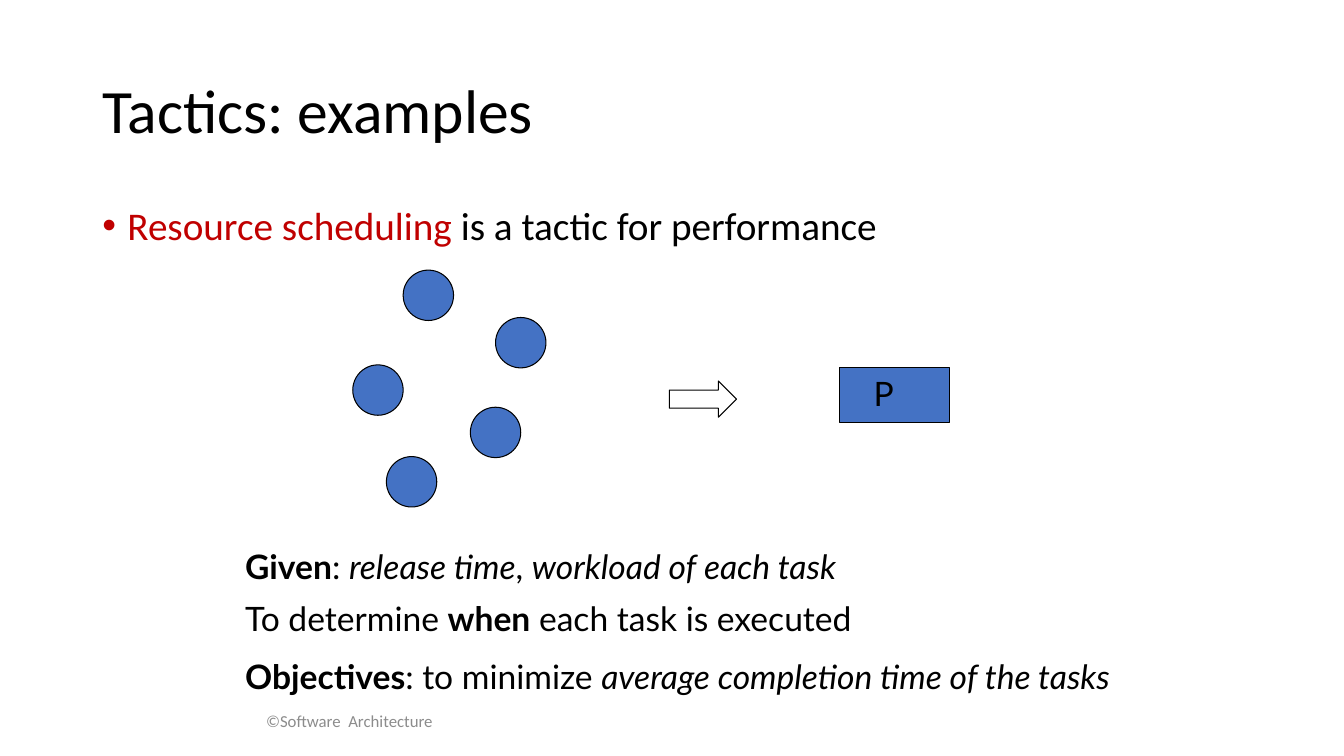
"""Build a slide on resource scheduling as a performance tactic."""

from dataclasses import dataclass

import lxml.etree
import pptx
import pptx.dml.color
import pptx.enum.shapes
import pptx.enum.text
import pptx.oxml.ns
import pptx.shapes.autoshape
import pptx.slide
import pptx.util

RGBColor = pptx.dml.color.RGBColor
Shape = pptx.shapes.autoshape.Shape
Preset = pptx.enum.shapes.MSO_SHAPE
Anchor = pptx.enum.text.MSO_ANCHOR
Align = pptx.enum.text.PP_ALIGN

BLACK = RGBColor(0x00, 0x00, 0x00)
BLUE = RGBColor(0x44, 0x72, 0xC4)
RED = RGBColor(0xC0, 0x00, 0x00)
GRAY = RGBColor(0x8C, 0x8C, 0x8C)

COLUMNS, ROWS = 80, 45
CELL = pptx.util.Inches(1) / 6
TASK_SIZE = 3


@dataclass(frozen=True)
class Box:
    """Place on the grid, in columns and rows."""

    column: float
    row: float
    columns: float
    rows: float

    def lengths(self) -> tuple[int, ...]:
        """Return left, top, width and height."""
        return tuple(
            round(cells * CELL)
            for cells in (self.column, self.row, self.columns, self.rows)
        )


@dataclass(frozen=True)
class Run:
    """Piece of text with its emphasis."""

    text: str
    bold: bool = False
    italic: bool = False
    color: RGBColor = BLACK


@dataclass(frozen=True)
class Statement:
    """Line of the scheduling problem and its place."""

    box: Box
    runs: tuple[Run, ...]


TASKS = ((24, 16.08), (21, 21.72), (23, 27.18), (29.5, 18.9), (28, 24.24))
TITLE_BOX = Box(5.5, 2.4, 69, 8.7)
BODY_BOX = Box(5.5, 12, 69, 28.56)
FOOTER_BOX = Box(0, 41.7, 41.6, 2.4)
PROCESSOR_BOX = Box(50, 21.9, 6.5, 3.25)
ARROW_BOX = Box(39.84, 22.68, 4, 2.16)

STATEMENTS = (
    Statement(
        Box(14, 32.22, 55.2, 3),
        (
            Run("Given", bold=True),
            Run(": "),
            Run("release time", italic=True),
            Run(", "),
            Run("workload of each task", italic=True),
        ),
    ),
    Statement(
        Box(14, 35.28, 55.2, 3.06),
        (
            Run("To determine "),
            Run("when", bold=True),
            Run(" each task is executed"),
        ),
    ),
    Statement(
        Box(14, 38.76, 53, 5.46),
        (
            Run("Objectives", bold=True),
            Run(": to minimize "),
            Run("average completion time of the tasks", italic=True),
        ),
    ),
)


def write_text(
    shape: Shape,
    *runs: Run,
    size: float = 24,
    font: str = "Lato",
    align: Align = Align.LEFT,
    anchor: Anchor = Anchor.TOP,
    line_spacing: float = 1.0,
    bullet: RGBColor | None = None,
) -> None:
    """Write one formatted paragraph into a shape."""
    frame = shape.text_frame
    frame.word_wrap = True
    frame.auto_size = pptx.enum.text.MSO_AUTO_SIZE.NONE
    frame.vertical_anchor = anchor
    paragraph = frame.paragraphs[0]
    paragraph.alignment = align
    paragraph.line_spacing = line_spacing
    if bullet is not None:
        add_bullet(paragraph, bullet)
    for piece in runs:
        run = paragraph.add_run()
        run.text = piece.text
        run.font.name = font
        run.font.size = pptx.util.Pt(size)
        run.font.bold = piece.bold
        run.font.italic = piece.italic
        run.font.color.rgb = piece.color


def add_bullet(paragraph: pptx.text.text._Paragraph, color: RGBColor) -> None:
    """Give a paragraph a hanging round bullet."""
    qualified = pptx.oxml.ns.qn
    properties = paragraph._p.get_or_add_pPr()
    indent = pptx.util.Inches(0.25)
    properties.set("marL", str(indent))
    properties.set("indent", str(-indent))
    bullet_color = lxml.etree.SubElement(properties, qualified("a:buClr"))
    lxml.etree.SubElement(bullet_color, qualified("a:srgbClr"), val=str(color))
    lxml.etree.SubElement(properties, qualified("a:buFont"), typeface="Arial")
    lxml.etree.SubElement(properties, qualified("a:buChar"), char="•")


def add_text(slide: pptx.slide.Slide, box: Box) -> Shape:
    """Add an empty text box on the grid."""
    return slide.shapes.add_textbox(*box.lengths())


def add_outlined(
    slide: pptx.slide.Slide, preset: Preset, box: Box, fill: RGBColor | None = BLUE
) -> Shape:
    """Add a preset shape with a thin black outline."""
    shape = slide.shapes.add_shape(preset, *box.lengths())
    shape.shadow.inherit = False
    if fill is None:
        shape.fill.background()
    else:
        shape.fill.solid()
        shape.fill.fore_color.rgb = fill
    shape.line.color.rgb = BLACK
    shape.line.width = pptx.util.Pt(0.75)
    return shape


def main() -> None:
    """Build and save the presentation."""
    presentation = pptx.Presentation()
    presentation.slide_width = round(COLUMNS * CELL)
    presentation.slide_height = round(ROWS * CELL)
    slide = presentation.slides.add_slide(presentation.slide_layouts[5])

    title = slide.shapes.title
    title.left, title.top, title.width, title.height = TITLE_BOX.lengths()
    write_text(title, Run("Tactics: examples"), size=44, font="Calibri",
               anchor=Anchor.MIDDLE, line_spacing=0.9)
    write_text(add_text(slide, BODY_BOX),
               Run("Resource scheduling ", color=RED),
               Run("is a tactic for performance"),
               size=28, font="Calibri", line_spacing=0.9, bullet=RED)
    write_text(add_text(slide, FOOTER_BOX),
               Run("©Software  Architecture", color=GRAY), size=12,
               font="Calibri", align=Align.CENTER, anchor=Anchor.MIDDLE)

    processor = add_outlined(slide, Preset.RECTANGLE, PROCESSOR_BOX)
    processor.text_frame.margin_left = round(2 * CELL)
    write_text(processor, Run("P"))
    for column, row in TASKS:
        add_outlined(slide, Preset.OVAL, Box(column, row, TASK_SIZE, TASK_SIZE))
    add_outlined(slide, Preset.RIGHT_ARROW, ARROW_BOX, fill=None)

    for statement in STATEMENTS:
        write_text(add_text(slide, statement.box), *statement.runs)
    presentation.save("out.pptx")


if __name__ == "__main__":
    main()
